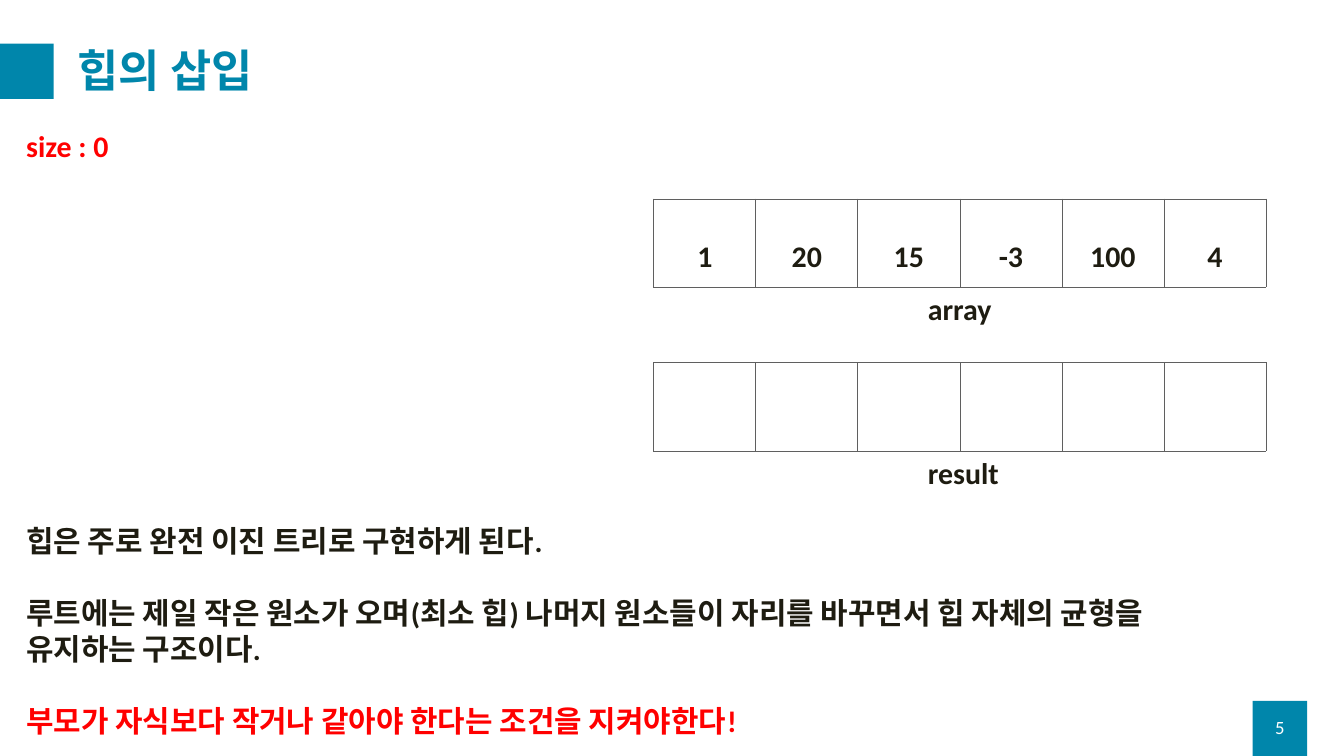
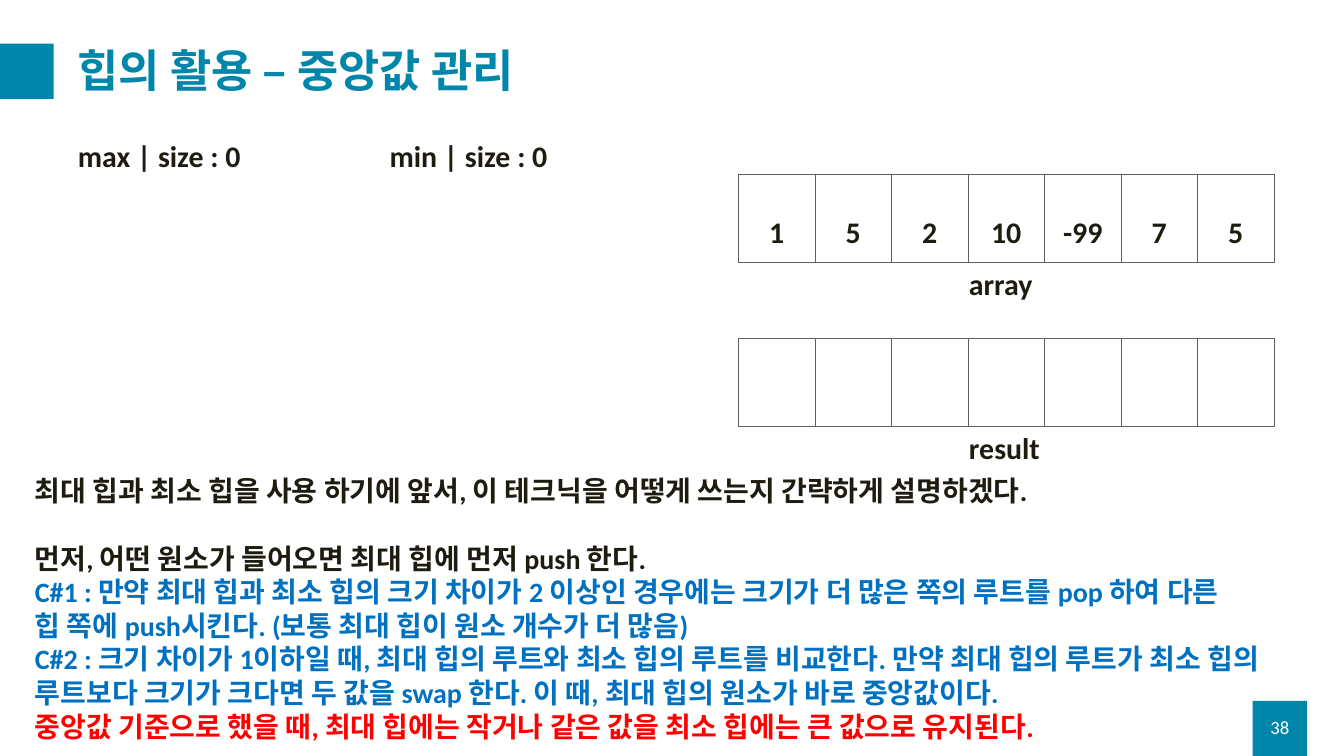
import pptx
import pptx.dml.color
import pptx.enum.shapes
import pptx.enum.text
import pptx.oxml
import pptx.util
from pptx.oxml.ns import nsdecls

Inches = pptx.util.Inches
Pt = pptx.util.Pt
RGBColor = pptx.dml.color.RGBColor
Align = pptx.enum.text.PP_ALIGN
Anchor = pptx.enum.text.MSO_ANCHOR

TEAL = RGBColor(0x00, 0x86, 0xAB)
DARK = RGBColor(0x1E, 0x1C, 0x11)
RED = RGBColor(0xFF, 0x00, 0x00)
BLUE = RGBColor(0x00, 0x70, 0xC0)
WHITE = RGBColor(0xFF, 0xFF, 0xFF)
BORDER = "5F5F5F"
FONT = "Calibri"

ROW_HEIGHT = 1.31
TABLE_STEP = 2.44
LINE_SPACING = 1.22  # height of a text line relative to its size


def add_run(paragraph, text, size, color=DARK, bold=True):
    run = paragraph.add_run()
    run.text = text
    run.font.name = FONT
    run.font.size = Pt(size)
    run.font.bold = bold
    run.font.color.rgb = color


def add_text(slide, box, lines, size, bold=True, anchor=Anchor.TOP):
    """Each line is (text, color, lines of space before it)."""
    shape = slide.shapes.add_textbox(*[Inches(length) for length in box])
    frame = shape.text_frame
    frame.word_wrap = True
    frame.vertical_anchor = anchor
    for index, (text, color, gap) in enumerate(lines):
        paragraph = frame.paragraphs[0] if index == 0 else frame.add_paragraph()
        if gap:
            paragraph.space_before = Pt(round(gap * size * LINE_SPACING))
        add_run(paragraph, text, size, color, bold)
    return frame.paragraphs[0]


# Content of the slides
pages = [
    {
        "title": "힙의 삽입",
        "number": "5",
        "values": ["1", "20", "15", "-3", "100", "4"],
        "table": (9.73, 2.96, 9.11),
        "label_left": 13.71,
        "sizes": [("size : 0", RED, 0.29, 1.85, 2.59)],
        "body_box": (0.29, 7.73, 19.16, 3.33),
        "body_size": 32,
        "body": [
            ("힙은 주로 완전 이진 트리로 구현하게 된다.", DARK, 0),
            ("루트에는 제일 작은 원소가 오며(최소 힙) 나머지 원소들이 자리를 바꾸면서 힙 자체의 균형을", DARK, 1),
            ("유지하는 구조이다.", DARK, 0),
            ("부모가 자식보다 작거나 같아야 한다는 조건을 지켜야한다!", RED, 1),
        ],
    },
    {
        "title": "힙의 활용 – 중앙값 관리",
        "number": "38",
        "values": ["1", "5", "2", "10", "-99", "7", "5"],
        "table": (10.99, 2.6, 7.97),
        "label_left": 14.32,
        "sizes": [
            ("max | size : 0", DARK, 1.06, 2, 3),
            ("min | size : 0", DARK, 5.7, 2, 3),
        ],
        "body_box": (0.42, 6.99, 19.58, 4.14),
        "body_size": 30,
        "body": [
            ("최대 힙과 최소 힙을 사용 하기에 앞서, 이 테크닉을 어떻게 쓰는지 간략하게 설명하겠다.", DARK, 0),
            ("먼저, 어떤 원소가 들어오면 최대 힙에 먼저 push 한다.", DARK, 1),
            ("C#1 : 만약 최대 힙과 최소 힙의 크기 차이가 2 이상인 경우에는 크기가 더 많은 쪽의 루트를 pop 하여 다른", BLUE, 0),
            ("힙 쪽에 push시킨다. (보통 최대 힙이 원소 개수가 더 많음)", BLUE, 0),
            ("C#2 : 크기 차이가 1이하일 때, 최대 힙의 루트와 최소 힙의 루트를 비교한다. "
             "만약 최대 힙의 루트가 최소 힙의 루트보다 크기가 크다면 두 값을 swap 한다. "
             "이 때, 최대 힙의 원소가 바로 중앙값이다.", BLUE, 0),
            ("중앙값 기준으로 했을 때, 최대 힙에는 작거나 같은 값을 최소 힙에는 큰 값으로 유지된다.", RED, 0),
        ],
    },
]

presentation = pptx.Presentation()
presentation.slide_width = Inches(20)
presentation.slide_height = Inches(11.25)

for page in pages:
    slide = presentation.slides.add_slide(presentation.slide_layouts[6])

    # Teal squares beside the title and behind the slide number
    for left, top in [(18.64, 10.43), (-0.01, 0.65)]:
        square = slide.shapes.add_shape(
            pptx.enum.shapes.MSO_SHAPE.RECTANGLE,
            Inches(left), Inches(top), Inches(0.81), Inches(0.82))
        square.shadow.inherit = False
        square.fill.solid()
        square.fill.fore_color.rgb = TEAL
        square.line.fill.background()

    # Title and slide number
    title = add_text(slide, (1.06, 0.5, 18.25, 1.18), [(page["title"], TEAL, 0)],
                     48, anchor=Anchor.MIDDLE)
    title.line_spacing = 0.9
    number = add_text(slide, (18.64, 10.52, 0.81, 0.6), [(page["number"], WHITE, 0)],
                      20, bold=False, anchor=Anchor.MIDDLE)
    number.alignment = Align.CENTER

    # Heap sizes and explanation
    for text, color, left, top, width in page["sizes"]:
        add_text(slide, (left, top, width, 0.64), [(text, color, 0)], 32)
    add_text(slide, page["body_box"], page["body"], page["body_size"])

    # Array table above an empty result table
    left, first_top, width = page["table"]
    count = len(page["values"])
    rows = [("array", page["values"], 1.2), ("result", [""] * count, 1.48)]
    for index, (label, values, label_width) in enumerate(rows):
        top = first_top + index * TABLE_STEP
        table = slide.shapes.add_table(
            1, count, Inches(left), Inches(top), Inches(width), Inches(ROW_HEIGHT)).table
        table.first_row = False
        table.horz_banding = False
        for cell, value in zip(table.rows[0].cells, values):
            if value:
                paragraph = cell.text_frame.paragraphs[0]
                paragraph.alignment = Align.CENTER
                paragraph.line_spacing = 2.0
                add_run(paragraph, value, 32)
            properties = cell._tc.get_or_add_tcPr()
            for side in ("lnL", "lnR", "lnT", "lnB"):
                properties.append(pptx.oxml.parse_xml(
                    f'<a:{side} {nsdecls("a")} w="12700"><a:solidFill>'
                    f'<a:srgbClr val="{BORDER}"/></a:solidFill></a:{side}>'))
            cell.fill.solid()
            cell.fill.fore_color.rgb = WHITE
        add_text(slide, (page["label_left"], top + ROW_HEIGHT, label_width, 0.64),
                 [(label, DARK, 0)], 32)

presentation.save("out.pptx")
